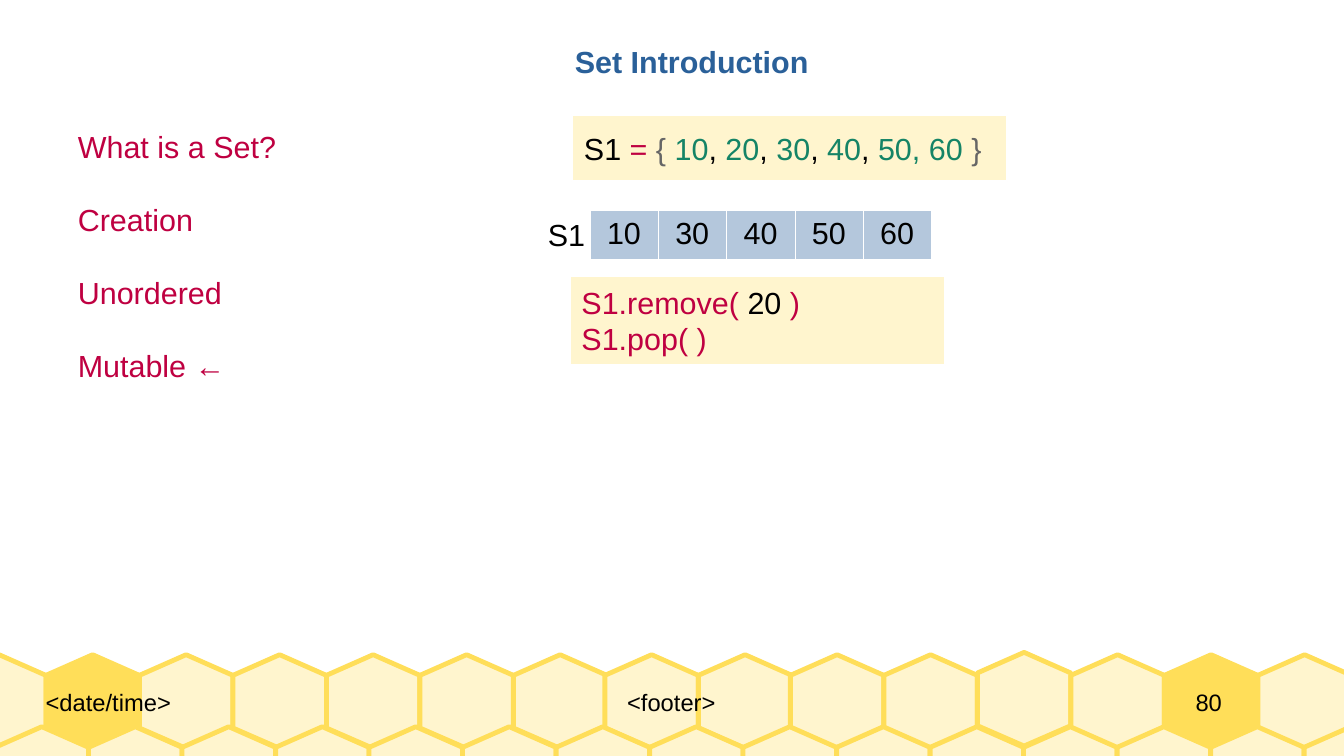
from dataclasses import dataclass
from lxml import etree
from pptx import Presentation
from pptx.dml.color import RGBColor
from pptx.enum.shapes import MSO_SHAPE
from pptx.enum.text import MSO_ANCHOR, MSO_AUTO_SIZE, PP_ALIGN
from pptx.oxml.ns import qn
from pptx.util import Pt

RECT = MSO_SHAPE.RECTANGLE
TOP, MID = MSO_ANCHOR.TOP, MSO_ANCHOR.MIDDLE
LEFT, MIDDLE = PP_ALIGN.LEFT, PP_ALIGN.CENTER
GROW = MSO_AUTO_SIZE.SHAPE_TO_FIT_TEXT


@dataclass(frozen=True)
class Theme:
    font: str = "Arial"
    body: float = 18
    small: float = 14
    edge: float = 2.83
    rim: float = 1.42
    ink: str = "000000"
    white: str = "FFFFFF"
    blue: str = "2A6099"
    red: str = "BF0041"
    green: str = "158466"
    grey: str = "666666"
    cream: str = "FFF5CE"
    gold: str = "FFDE59"
    cell: str = "B4C7DC"


def rgb(code):
    return RGBColor.from_string(code)


class Board:
    def __init__(self, slide, theme):
        self.shapes = slide.shapes
        self.theme = theme

    def paint(self, shape, fill, line, width):
        shape.shadow.inherit = False
        shape.fill.solid()
        shape.fill.fore_color.rgb = rgb(fill)
        shape.line.color.rgb = rgb(line)
        shape.line.width = Pt(width)

    def style(self, para, size, color=None, align=LEFT, bold=False):
        para.alignment = align
        font = para.font
        font.name, font.size, font.bold = self.theme.font, Pt(size), bold
        if color:
            font.color.rgb = rgb(color)

    def hexagon(self, x, y, fill):
        wide, high, low, deep = 55.2, 55.3, 12.2, 43.3
        pen = self.shapes.build_freeform(Pt(x + wide / 2), Pt(y))
        pen.add_line_segments([
            (Pt(x + dx), Pt(y + dy)) for dx, dy in (
                (0, low), (0, deep), (wide / 2, high), (wide, deep), (wide, low))
        ], close=True)
        self.paint(pen.convert_to_shape(), fill, self.theme.gold, self.theme.edge)

    def label(self, box, lines, color, gap=0, bold=False):
        frame = self.shapes.add_textbox(*map(Pt, box)).text_frame
        frame.word_wrap = True
        frame.auto_size = GROW
        for i, line in enumerate(lines):
            para = frame.paragraphs[0] if i == 0 else frame.add_paragraph()
            para.text = line
            self.style(para, self.theme.body, color, bold=bold)
            if i:
                para.space_before = Pt(gap)

    def footer(self, box, text, align):
        frame = self.shapes.add_textbox(*map(Pt, box)).text_frame
        frame.margin_left = frame.margin_right = 0
        frame.margin_top = frame.margin_bottom = 0
        frame.word_wrap = True
        frame.vertical_anchor = MID
        frame.paragraphs[0].text = text
        self.style(frame.paragraphs[0], self.theme.small, self.theme.ink, align)

    def code(self, box, lines):
        shape = self.shapes.add_shape(RECT, *map(Pt, box))
        self.paint(shape, self.theme.cream, self.theme.white, self.theme.rim)
        frame = shape.text_frame
        frame.word_wrap = True
        frame.vertical_anchor = MID
        for i, line in enumerate(lines):
            para = frame.paragraphs[0] if i == 0 else frame.add_paragraph()
            for text, color in line:
                run = para.add_run()
                run.text = text
                run.font.color.rgb = rgb(color)
            self.style(para, self.theme.body)

    def row(self, box, values):
        table = self.shapes.add_table(1, len(values), *map(Pt, box)).table
        table.first_row = table.horz_banding = False
        for cell, value in zip(table.iter_cells(), values):
            cell.text = value
            cell.vertical_anchor = TOP
            self.style(cell.text_frame.paragraphs[0], self.theme.body,
                       self.theme.ink, MIDDLE)
            self.border(cell)
            cell.fill.solid()
            cell.fill.fore_color.rgb = rgb(self.theme.cell)

    def border(self, cell):
        props = cell._tc.get_or_add_tcPr()
        for side in ("a:lnL", "a:lnR", "a:lnT", "a:lnB"):
            line = etree.SubElement(props, qn(side), w=str(Pt(0.06)))
            fill = etree.SubElement(line, qn("a:solidFill"))
            etree.SubElement(fill, qn("a:srgbClr"), val=self.theme.white)


def main():
    deck = Presentation()
    deck.slide_width, deck.slide_height = Pt(793.44), Pt(446.4)
    theme = Theme()
    board = Board(deck.slides.add_slide(deck.slide_layouts[6]), theme)

    # Honeycomb: upper row in three runs, one cell raised, two cells gold
    pitch = 55.2
    runs = ((-28.1, 7), (357.1, 2), (466.6, 6))
    upper = [start + pitch * i for start, count in runs for i in range(count)]
    for i, x in enumerate(upper):
        board.hexagon(x, 385.2 if i == 11 else 386.6,
                      theme.gold if i in (1, 13) else theme.cream)
    for i in range(15):
        board.hexagon(-2.9 + pitch * i, 429.1, theme.cream)

    # Footer
    board.footer((26.9, 386.6, 189.1, 55.4), "<date/time>", LEFT)
    board.footer((216, 386.6, 360.7, 55.4), "<footer>", MIDDLE)
    board.footer((668.6, 386.6, 90, 55.4), "80", MIDDLE)

    # Title and topics
    board.label((332.3, 21.6, 170, 27.4), ["Set Introduction"], theme.blue, bold=True)
    board.label((38.9, 72, 160, 148.3),
                ["What is a Set?", "Creation", "Unordered", "Mutable ←"],
                theme.red, gap=21.5)

    # Code boxes
    board.code((336.2, 162.7, 221.8, 53), [
        [("S1.remove( ", theme.red), ("20 ", theme.ink), (")", theme.red)],
        [("S1.pop( )", theme.red)],
    ])
    items = [("10", theme.green)]
    for number in (" 20", " 30", " 40", " 50, 60 "):
        items += [(",", theme.ink), (number, theme.green)]
    board.code((337.7, 67.8, 257, 39.2), [
        [("S1 ", theme.ink), ("= ", theme.red), ("{ ", theme.grey),
         *items, ("}", theme.grey)],
    ])

    # Set contents
    board.row((348.2, 124.3, 201.6, 27.4), ["10", "30", "40", "50", "60"])
    board.label((316.4, 124.3, 50, 27.4), ["S1"], theme.ink)

    deck.save("out.pptx")


if __name__ == "__main__":
    main()
